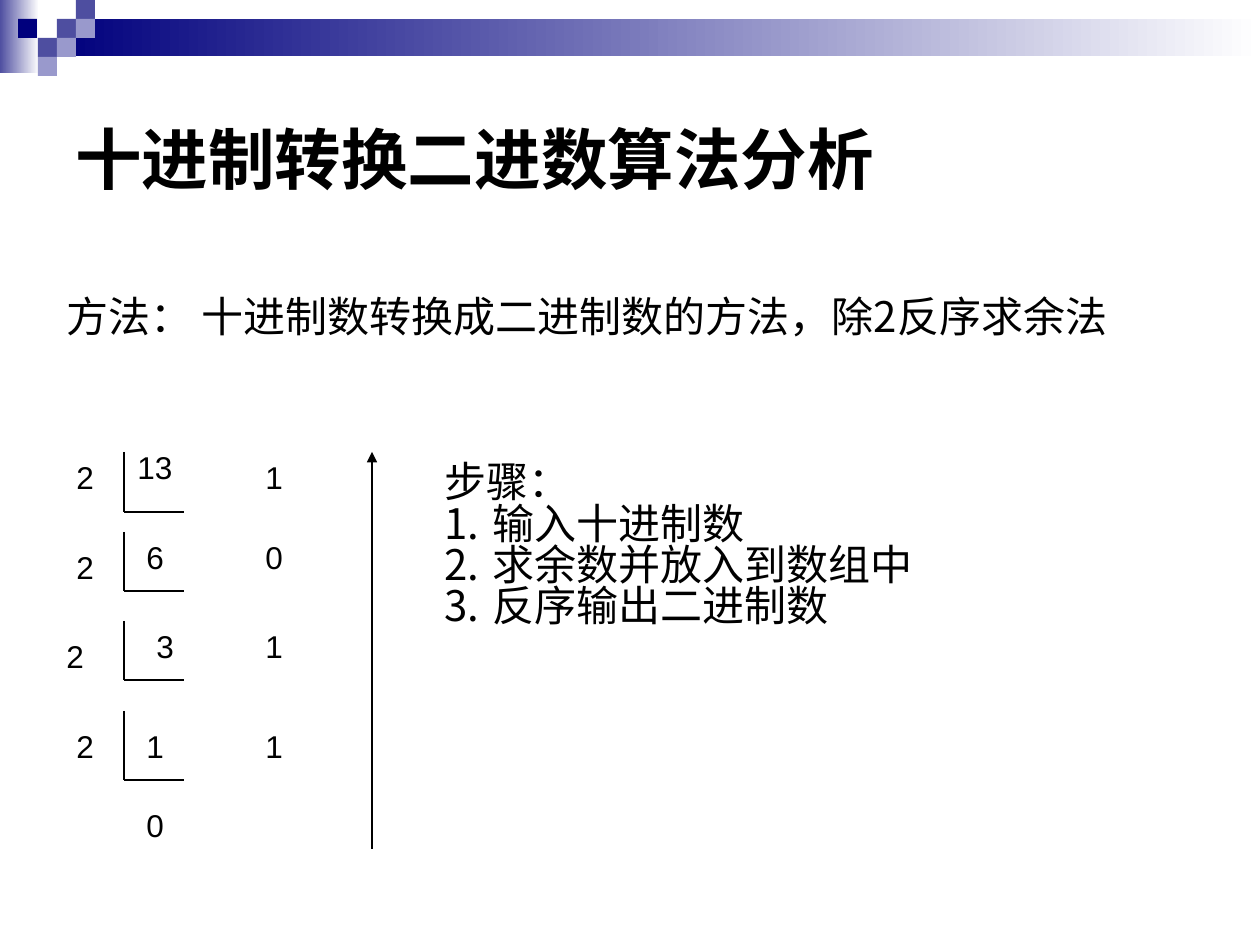
from lxml.etree import SubElement
from pptx import Presentation
from pptx.dml.color import RGBColor
from pptx.enum.shapes import MSO_CONNECTOR, MSO_SHAPE
from pptx.enum.text import MSO_ANCHOR
from pptx.oxml.ns import qn
from pptx.util import Emu, Pt

EMU_PER_PX = 914400 / 126
CHINESE_FONT = "Noto Sans CJK JP"
BLACK, WHITE = "000000", "FFFFFF"
NAVY, INDIGO, LAVENDER = "00007D", "4E4EA0", "9999CC"

SQUARE = 19
SQUARES = [
    (57, 1, INDIGO), (76, 0, INDIGO), (76, 1, LAVENDER), (38, 2, INDIGO),
    (18, 1, NAVY), (57, 2, LAVENDER), (38, 3, LAVENDER),
]
BRACKETS = [(452, 512), (532, 591), (621, 680), (711, 780)]
DIGITS = [
    ("2", 64, 452), ("13", 125, 442), ("1", 253, 452),
    ("2", 64, 542), ("6", 134, 532), ("0", 253, 532),
    ("2", 54, 631), ("3", 144, 621), ("1", 253, 621),
    ("2", 64, 721), ("1", 134, 721), ("1", 253, 721),
    ("0", 134, 800),
]
STEPS = ["步骤：", "输入十进制数", "求余数并放入到数组中", "反序输出二进制数"]


def px(length):
    return Emu(round(length * EMU_PER_PX))


def color(value):
    return RGBColor.from_string(value)


def add_rectangle(slide, left, top, width, height, start, end=None):
    shape = slide.shapes.add_shape(
        MSO_SHAPE.RECTANGLE, px(left), px(top), px(width), px(height))
    shape.shadow.inherit = False
    shape.line.fill.background()
    if end is None:
        shape.fill.solid()
        shape.fill.fore_color.rgb = color(start)
    else:
        shape.fill.gradient()
        shape.fill.gradient_angle = 0
        for stop, value in zip(shape.fill.gradient_stops, (start, end)):
            stop.color.rgb = color(value)


def add_line(slide, x1, y1, x2, y2, arrow=False):
    connector = slide.shapes.add_connector(
        MSO_CONNECTOR.STRAIGHT, px(x1), px(y1), px(x2), px(y2))
    connector.line.color.rgb = color(BLACK)
    connector.line.width = Pt(0.75)
    if arrow:
        SubElement(connector.line._get_or_add_ln(), qn("a:tailEnd"), type="triangle")
    SubElement(connector._element.spPr, qn("a:effectLst"))


def add_text(slide, text, left, top, width, height, size,
             font="Arial", bold=False, wrap=True, line_spacing=None):
    box = slide.shapes.add_textbox(px(left), px(top), px(width), px(height))
    text_frame = box.text_frame
    text_frame.word_wrap = wrap
    text_frame.text = text
    for paragraph in text_frame.paragraphs:
        if line_spacing:
            paragraph.line_spacing = line_spacing
        for run in paragraph.runs:
            run.font.size = Pt(size)
            run.font.bold = bold
            run.font.name = font
            run.font.color.rgb = color(BLACK)
            SubElement(run._r.get_or_add_rPr(), qn("a:ea"), typeface=CHINESE_FONT)
    return text_frame


def number_paragraph(paragraph):
    properties = paragraph._p.get_or_add_pPr()
    properties.set("marL", str(px(48)))
    properties.set("indent", str(px(-48)))
    SubElement(properties, qn("a:buFont"), typeface=CHINESE_FONT)
    SubElement(properties, qn("a:buAutoNum"), type="arabicPeriod")


def add_header(slide):
    add_rectangle(slide, 0, 0, 39, 73, INDIGO, WHITE)
    add_rectangle(slide, 57, 19, 1203, 37, NAVY, WHITE)
    for left, row, fill in SQUARES:
        add_rectangle(slide, left, row * SQUARE, SQUARE, SQUARE, fill)


def add_division(slide):
    for top, bottom in BRACKETS:
        add_line(slide, 124, top, 124, bottom)
        add_line(slide, 124, bottom, 184, bottom)
    for digit, left, top in DIGITS:
        add_text(slide, digit, left, top, 25 + 18 * len(digit), 50, 18, wrap=False)
    add_line(slide, 372, 849, 372, 452, arrow=True)


def add_steps(slide):
    text_frame = add_text(slide, "\n".join(STEPS), 432, 452, 566, 214, 24,
                          line_spacing=0.82)
    text_frame.margin_top = px(13)
    for paragraph in text_frame.paragraphs[1:]:
        number_paragraph(paragraph)


def main():
    presentation = Presentation()
    presentation.slide_width = px(1260)
    presentation.slide_height = px(945)
    slide = presentation.slides.add_slide(presentation.slide_layouts[6])
    add_header(slide)
    title = add_text(slide, "十进制转换二进数算法分析", 63, 63, 1134, 189, 38, bold=True)
    title.vertical_anchor = MSO_ANCHOR.MIDDLE
    add_text(slide, "方法： 十进制数转换成二进制数的方法，除2反序求余法",
             54, 294, 1142, 118, 24, font=CHINESE_FONT, line_spacing=0.8)
    add_division(slide)
    add_steps(slide)
    presentation.save("out.pptx")


if __name__ == "__main__":
    main()
